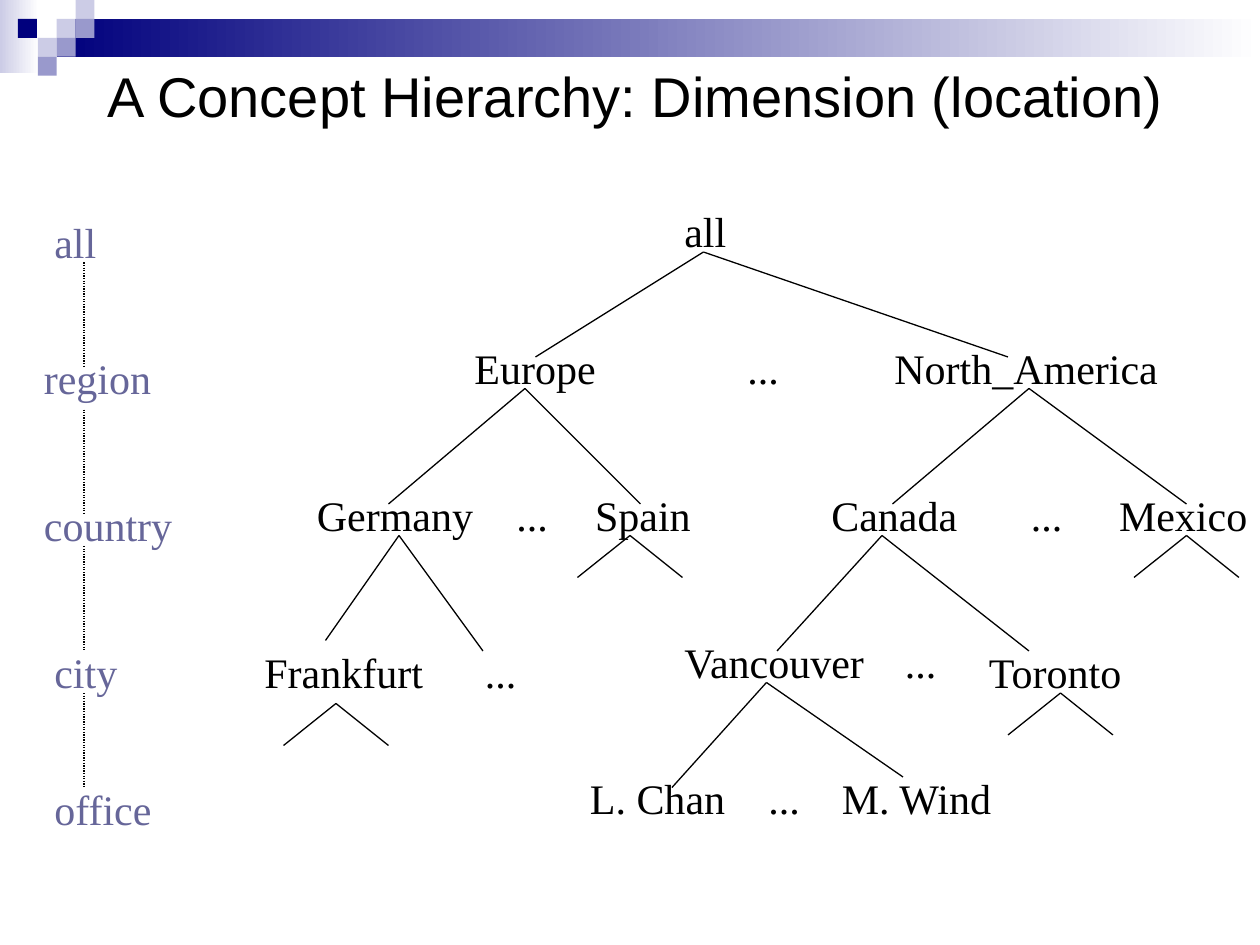
from lxml import etree
from pptx import Presentation
from pptx.dml.color import RGBColor
from pptx.enum.dml import MSO_LINE
from pptx.enum.shapes import MSO_CONNECTOR, MSO_SHAPE
from pptx.enum.text import MSO_ANCHOR, MSO_AUTO_SIZE, PP_ALIGN
from pptx.oxml.ns import qn
from pptx.util import Inches, Pt

RECT, LINE = MSO_SHAPE.RECTANGLE, MSO_CONNECTOR.STRAIGHT
DOTTED, MIDDLE = MSO_LINE.ROUND_DOT, MSO_ANCHOR.MIDDLE
CENTER, GROW = PP_ALIGN.CENTER, MSO_AUTO_SIZE.SHAPE_TO_FIT_TEXT

TITLE = "A Concept Hierarchy: Dimension (location)"
BLACK, SLATE, NAVY = "000000", "666699", "00007D"
PALE, LILAC, WHITE = "CCCCE6", "9999CC", "FFFFFF"
HEAD = {"name": "Arial", "size": Pt(32)}
BODY = {"name": "Times New Roman", "size": Pt(24)}

# Header: left, top, width, height in inches, then one or two colours
SIDE = 0.15
BANDS = [(0, 0, 0.31, 0.58, PALE, WHITE), (0.45, 0.15, 9.55, 0.3, NAVY, WHITE)]
TILES = [(3, 1, PALE), (4, 0, PALE), (4, 1, LILAC), (2, 2, PALE),
         (0.95, 1, NAVY), (3, 2, LILAC), (2, 3, LILAC)]  # column, row, colour

# Tree and levels lie on a grid of 120 columns by 90 rows
COLS, ROWS = 120, 90
TALL, DOTS = 6, 5.5
LEVELS = [("all", 4, 20, 6.5), ("region", 3, 33, 12.8), ("country", 3, 47, 14.8),
          ("city", 4, 61, 8.6), ("office", 4, 74, 12)]  # text, column, row, width
NODES = [("all", 64, 19, 6.5),
         ("Europe", 44, 32, 14.3), ("...", 70, 32, DOTS),
         ("North_America", 84, 32, 27.8),
         ("Germany", 29, 46, 17.5), ("...", 48, 46, DOTS), ("Spain", 55.5, 46, 11.8),
         ("Canada", 78, 46, 14.7), ("...", 97, 46, DOTS), ("Mexico", 105.4, 46, 14.6),
         ("Frankfurt", 24, 61, 17.8), ("...", 45, 61, DOTS),
         ("Vancouver", 64, 60, 20.2), ("...", 85, 60, DOTS), ("Toronto", 93, 61, 15.5),
         ("L. Chan", 55, 73, 15.7), ("...", 72, 73, DOTS), ("M. Wind", 79, 73, 17.1)]
FORKS = [((67, 24), (51, 34), (96, 34)), ((50, 37), (37, 48), (61, 48)),
         ((98, 37), (85, 48), (113, 48)), ((38, 51), (31, 61), (46, 62)),
         ((84, 51), (74, 62), (98, 62)), ((73, 65), (64, 75), (86, 74))]
STUBS = [(60, 51), (113, 51), (32, 67), (101, 66)]
SPINE = 8
GAPS = [(25, 35), (39, 49), (52, 62), (66, 75)]

deck = Presentation()
deck.slide_width, deck.slide_height = Inches(10), Inches(7.5)
slide = deck.slides.add_slide(deck.slide_layouts[5])
shapes = slide.shapes


def paint(color, value):
    color.rgb = RGBColor.from_string(value)


def style(font, look, value):
    for key, item in look.items():
        setattr(font, key, item)
    paint(font.color, value)


def spot(col, row):
    return int(deck.slide_width * col / COLS), int(deck.slide_height * row / ROWS)


def block(left, top, wide, high, *tones):
    box = shapes.add_shape(RECT, *map(Inches, (left, top, wide, high)))
    box.shadow.inherit = False
    box.line.fill.background()
    if len(tones) == 1:
        box.fill.solid()
        paint(box.fill.fore_color, tones[0])
    else:
        box.fill.gradient()
        box.fill.gradient_angle = 0
        for stop, tone in zip(box.fill.gradient_stops, tones):
            paint(stop.color, tone)


def label(text, col, row, wide, tone):
    box = shapes.add_textbox(*spot(col, row), *spot(wide, TALL))
    frame = box.text_frame
    frame.word_wrap, frame.auto_size = False, GROW
    frame.text = text
    style(frame.paragraphs[0].runs[0].font, BODY, tone)


def link(start, end, dash=None):
    line = shapes.add_connector(LINE, *spot(*start), *spot(*end))
    paint(line.line.color, BLACK)
    line.line.width = Pt(0.75)
    if dash:
        line.line.dash_style = dash
    etree.SubElement(line._element.spPr, qn("a:effectLst"))


# Header
for band in BANDS:
    block(*band)
for col, row, tone in TILES:
    block(col * SIDE, row * SIDE, SIDE, SIDE, tone)

# Title
title = shapes.title
title.left, title.top, title.width, title.height = map(Inches, (0.67, 0.42, 8.75, 0.67))
title.text_frame.text = TITLE
title.text_frame.vertical_anchor = MIDDLE
para = title.text_frame.paragraphs[0]
para.alignment = CENTER
style(para.runs[0].font, HEAD, BLACK)

# Tree
for node in NODES:
    label(*node, BLACK)
twigs = [((x, y), (x - 5, y + 4), (x + 5, y + 4)) for x, y in STUBS]
for top, *ends in FORKS + twigs:
    for end in ends:
        link(top, end)

# Level names and dotted spine
for level in LEVELS:
    label(*level, SLATE)
for top, low in GAPS:
    link((SPINE, top), (SPINE, low), DOTTED)

deck.save("out.pptx")
